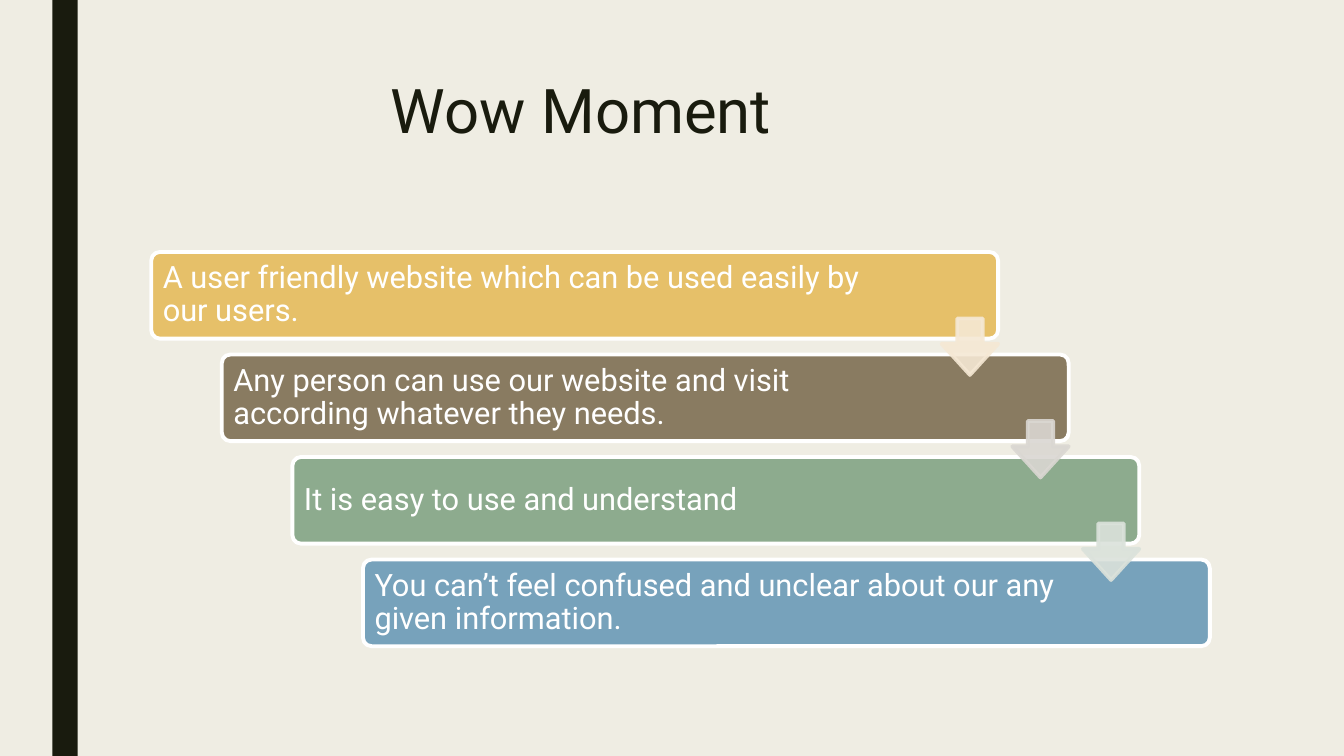
from pptx import Presentation
from pptx.dml.color import RGBColor
from pptx.enum.shapes import MSO_SHAPE
from pptx.enum.text import MSO_ANCHOR, PP_ALIGN
from pptx.oxml.ns import qn
from pptx.util import Inches, Pt
from lxml import etree

COLORS = {
    "background": "EFEDE3", "dark": "191B0E", "white": "FFFFFF",
    "gold": "E6C069", "brown": "897B61", "green": "8DAB8E", "blue": "77A2BB",
    "pale_gold": "F5E8D4", "pale_brown": "DAD7D2", "pale_green": "DBE2DB",
}


def add_box(s, kind, box, fill, line=None):
    sp = s.shapes.add_shape(kind, *[Inches(v) for v in box])
    sp.shadow.inherit = False
    sp.fill.solid()
    sp.fill.fore_color.rgb = RGBColor.from_string(COLORS[fill])
    if line:
        sp.line.color.rgb = RGBColor.from_string(COLORS[line])
        sp.line.width = Pt(2.75)
    else:
        sp.line.fill.background()
    return sp


def add_text(p, text, size, color, spacing):
    p.alignment = PP_ALIGN.LEFT
    p.line_spacing = spacing
    r = p.add_run()
    r.text = text
    r.font.name = "Roboto"
    r.font.size = Pt(size)
    r.font.color.rgb = RGBColor.from_string(COLORS[color])


prs = Presentation()
prs.slide_width = Inches(13.33)
prs.slide_height = Inches(7.5)
s = prs.slides.add_slide(prs.slide_layouts[6])
s.background.fill.solid()
s.background.fill.fore_color.rgb = RGBColor.from_string(COLORS["background"])

add_box(s, MSO_SHAPE.RECTANGLE, (0.52, 0, 0.25, 7.5), "dark")

title = s.shapes.add_textbox(Inches(1.5), Inches(0.75), Inches(10.5), Inches(1.62))
tf = title.text_frame
tf.word_wrap = True
p = tf.paragraphs[0]
p._p.get_or_add_pPr().set("marL", str(Inches(2.28)))
add_text(p, "Wow Moment", 44, "dark", 0.89)

LEFT, TOP, WIDTH, HEIGHT = 1.5, 2.5, 8.4, 0.86
STEP_X, STEP_Y, ARROW = 0.7, 1.017, 0.56

steps = [
    ("A user friendly website which can be used easily by our users.", "gold", 1.04),
    ("Any person can use our website and visit according whatever they needs.", "brown", 1.35),
    ("It is easy to use and understand", "green", 1.35),
    ("You can’t feel confused and unclear about our any given information.", "blue", 1.35),
]
for i, (text, fill, right) in enumerate(steps):
    box = (LEFT + i * STEP_X, TOP + i * STEP_Y, WIDTH, HEIGHT)
    sp = add_box(s, MSO_SHAPE.ROUNDED_RECTANGLE, box, fill, "white")
    sp.adjustments[0] = 0.1
    tf = sp.text_frame
    tf.word_wrap = True
    tf.vertical_anchor = MSO_ANCHOR.MIDDLE
    tf.margin_left = tf.margin_top = tf.margin_bottom = Inches(0.09)
    tf.margin_right = Inches(right)
    add_text(tf.paragraphs[0], text, 22, "white", 0.9)

for i, fill in enumerate(["pale_gold", "pale_brown", "pale_green"]):
    box = (LEFT + WIDTH - ARROW + i * STEP_X, TOP + 0.66 + i * STEP_Y, ARROW, ARROW)
    sp = add_box(s, MSO_SHAPE.DOWN_ARROW, box, fill, fill)
    sp.adjustments[0] = 0.45
    sp.adjustments[1] = 0.55
    for color in sp._element.spPr.iter(qn("a:srgbClr")):
        etree.SubElement(color, qn("a:alpha")).set("val", "90000")

prs.save("out.pptx")
